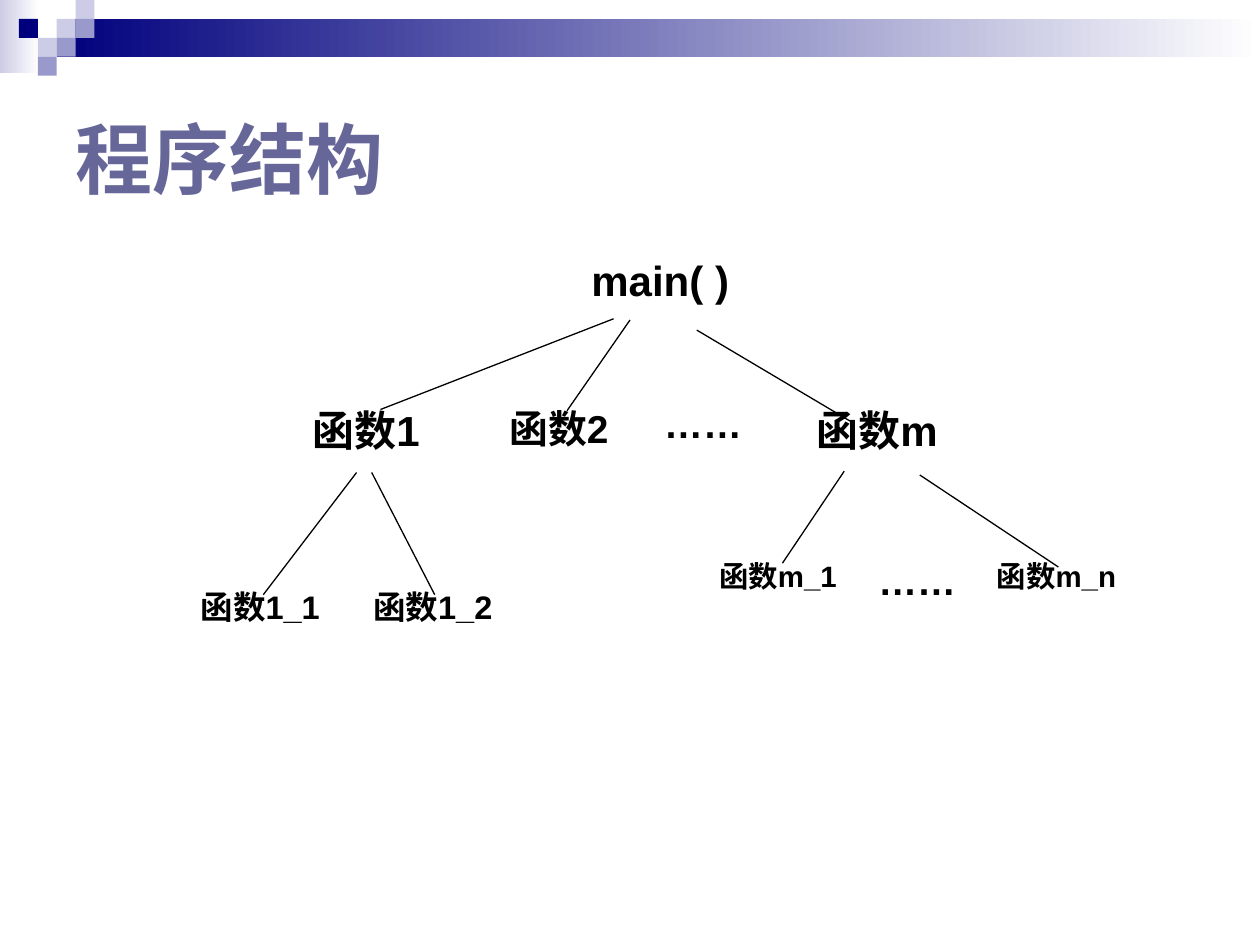
import pptx
import pptx.dml.color
import pptx.enum.shapes
import pptx.enum.text
import pptx.oxml
import pptx.util
from pptx.util import Inches

COLORS = {
    "navy": "00007D",
    "violet": "9999CC",
    "lilac": "CCCCE6",
    "title": "666699",
    "white": "FFFFFF",
    "black": "000000",
}
FONT = "Arial"
CELL = 0.15

# (column, row, colour) of each square in the banner mosaic
MOSAIC = [
    (3, 1, "lilac"), (4, 0, "lilac"), (4, 1, "violet"), (2, 2, "lilac"),
    (1, 1, "navy"), (3, 2, "violet"), (2, 3, "violet"),
]

# (text, left, top, width, size), measured from the corner of the tree
NODE_HEIGHT = 0.73
NODES = [
    ("main( )", 3.05, 0, 1.48, 24),
    ("函数1", 0.84, 1.19, 1.23, 24),
    ("函数2", 2.43, 1.19, 1.11, 22.2),
    ("……", 3.7, 1.15, 0.86, 22.2),
    ("函数m", 4.77, 1.19, 1.48, 24),
    ("函数1_1", 0, 2.64, 1.23, 18.6),
    ("函数1_2", 1.37, 2.64, 1.23, 18.6),
    ("函数m_1", 4.11, 2.41, 1.23, 16.8),
    ("……", 5.4, 2.4, 0.86, 22.2),
    ("函数m_n", 6.32, 2.41, 1.23, 16.8),
]

# (x1, y1, x2, y2) from caller to callee, measured from the corner of the tree
BRANCHES = [
    (3.42, 0.56, 1.57, 1.28),
    (3.55, 0.57, 3.05, 1.29),
    (4.08, 0.65, 5.31, 1.38),
    (1.38, 1.78, 0.64, 2.75),
    (1.5, 1.78, 2, 2.75),
    (5.25, 1.77, 4.76, 2.5),
    (5.85, 1.8, 6.95, 2.53),
]


def rgb(name):
    return pptx.dml.color.RGBColor.from_string(COLORS[name])


def add_rect(s, left, top, width, height, color, fade_to=None):
    """Add a borderless rectangle, fading to the right if fade_to is given."""
    sp = s.shapes.add_shape(
        pptx.enum.shapes.MSO_SHAPE.RECTANGLE,
        Inches(left), Inches(top), Inches(width), Inches(height))
    sp.shadow.inherit = False
    sp.line.fill.background()
    if fade_to:
        sp.fill.gradient()
        sp.fill.gradient_angle = 0
        for stop, name in zip(sp.fill.gradient_stops, (color, fade_to)):
            stop.color.rgb = rgb(name)
    else:
        sp.fill.solid()
        sp.fill.fore_color.rgb = rgb(color)


def add_text(s, text, left, top, width, height, size, color="black"):
    """Add a one-line bold text box and return its frame."""
    sp = s.shapes.add_textbox(
        Inches(left), Inches(top), Inches(width), Inches(height))
    tf = sp.text_frame
    tf.word_wrap = True
    p = tf.paragraphs[0]
    p.text = text
    p.font.name = FONT
    p.font.size = pptx.util.Pt(size)
    p.font.bold = True
    p.font.color.rgb = rgb(color)
    return tf


def add_branch(s, x1, y1, x2, y2):
    line = s.shapes.add_connector(
        pptx.enum.shapes.MSO_CONNECTOR.STRAIGHT,
        Inches(x1), Inches(y1), Inches(x2), Inches(y2))
    line.line.color.rgb = rgb("black")
    line.line.width = pptx.util.Pt(0.75)
    line._element.spPr.append(pptx.oxml.parse_xml(
        '<a:effectLst xmlns:a='
        '"http://schemas.openxmlformats.org/drawingml/2006/main"/>'))


def add_banner(s, left, top, width):
    add_rect(s, left, top, 0.31, 0.58, "lilac", "white")
    add_rect(s, left + 3 * CELL, top + CELL, width - 3 * CELL, 2 * CELL,
             "navy", "white")
    for col, row, color in MOSAIC:
        add_rect(s, left + col * CELL, top + row * CELL, CELL, CELL, color)


def add_title(s, left, top, width, height):
    tf = add_text(s, "程序结构", left, top, width, height, 44, "title")
    tf.vertical_anchor = pptx.enum.text.MSO_ANCHOR.MIDDLE


def add_call_tree(s, left, top):
    for x1, y1, x2, y2 in BRANCHES:
        add_branch(s, left + x1, top + y1, left + x2, top + y2)
    for text, x, y, width, size in NODES:
        tf = add_text(s, text, left + x, top + y, width, NODE_HEIGHT, size)
        tf.paragraphs[0].alignment = pptx.enum.text.PP_ALIGN.CENTER


def main():
    prs = pptx.Presentation()
    prs.slide_width, prs.slide_height = Inches(10), Inches(7.5)
    s = prs.slides.add_slide(prs.slide_layouts[6])
    add_banner(s, 0, 0, 10)
    add_call_tree(s, 1.45, 1.97)
    add_title(s, 0.5, 0.5, 3.56, 1.5)
    prs.save("out.pptx")


if __name__ == "__main__":
    main()
